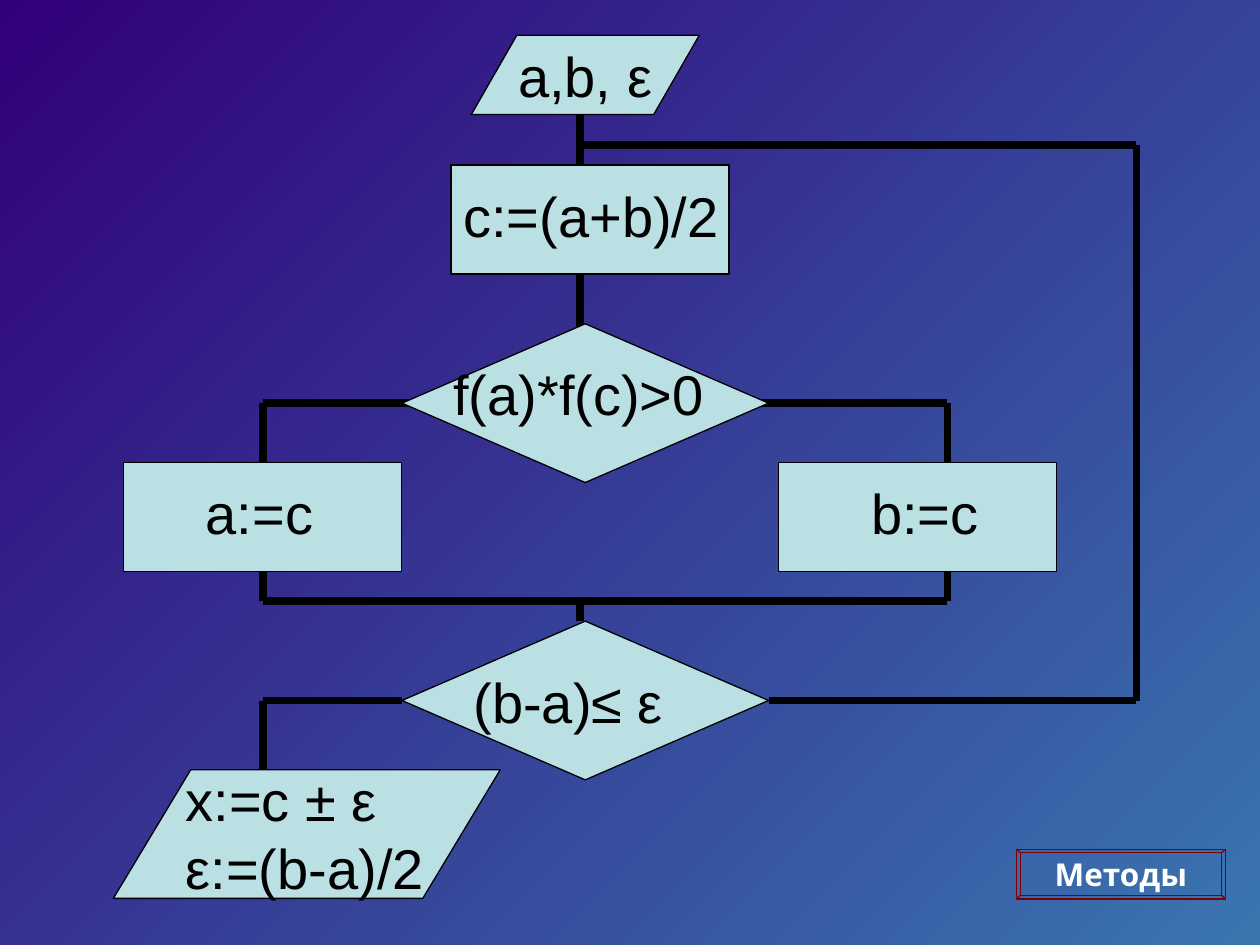
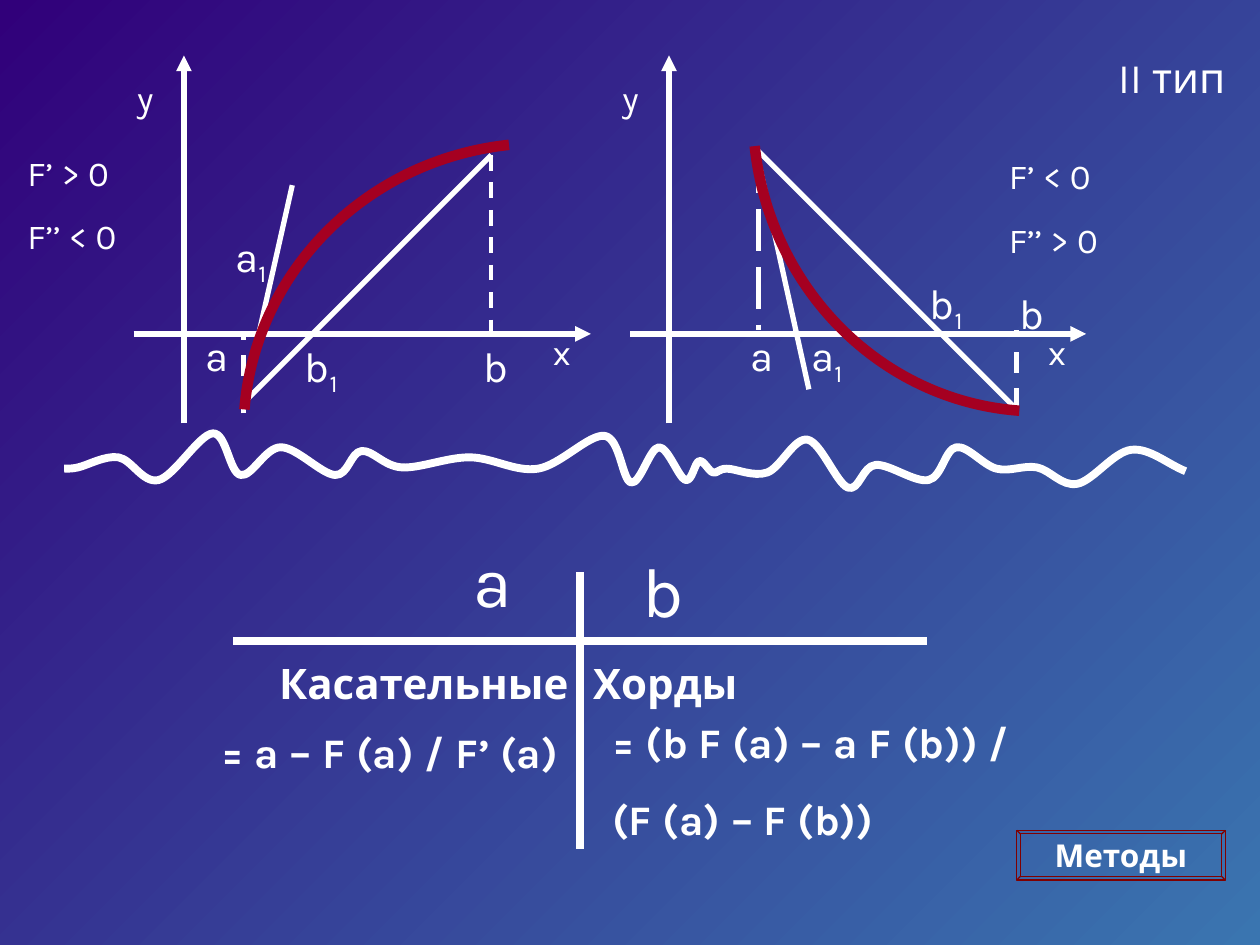
from dataclasses import dataclass
from itertools import pairwise

from lxml.etree import SubElement
from pptx import Presentation
from pptx.dml.color import RGBColor
from pptx.enum.dml import MSO_LINE as DASH
from pptx.enum.shapes import MSO_CONNECTOR, MSO_SHAPE as SHAPE
from pptx.enum.text import MSO_ANCHOR as ANCHOR, MSO_AUTO_SIZE as FIT, PP_ALIGN as ALIGN
from pptx.oxml.ns import qn
from pptx.util import Inches, Pt


@dataclass(frozen=True)
class Theme:
    """Colours, fonts and sizes shared by both slides."""
    cols: int = 100
    rows: int = 75
    bg_start: str = "31007A"
    bg_end: str = "3A75B0"
    block: str = "BBE0E3"
    ink: str = "000000"
    chalk: str = "FFFFFF"
    curve: str = "A50021"
    button: str = "800000"
    flow_font: str = "Arial"
    font: str = "Karla"
    flow_size: int = 32
    head: int = 40
    body: int = 24
    small: int = 20
    button_size: int = 18
    heavy: float = 4.5
    plain: float = 3
    thin: float = 0.75
    bold_curve: float = 6


T = Theme()
MID = 46.06


def cell(n):
    """Turn a number of grid cells into a length."""
    return Inches(n / 10)


def rgb(code):
    """Turn a hex code into a colour."""
    return RGBColor.from_string(code)


def apply(target, formats):
    """Set each attribute named in a dict of format values."""
    for name, value in formats.items():
        setattr(target, name, value)


def stroke(sp, color, width, dash=None):
    """Give a shape or connector its line."""
    sp.line.color.rgb = rgb(color)
    apply(sp.line, {"width": Pt(width), "dash_style": dash})


def write(sp, lines, size, font=T.font, color=T.chalk, bold=False,
          align=ALIGN.LEFT, lead=0.625, **frame):
    """Fill a text frame; an underscore starts a subscript."""
    tf = sp.text_frame
    apply(tf, frame)
    for i, line in enumerate(lines):
        p = tf.add_paragraph() if i else tf.paragraphs[0]
        apply(p, {"alignment": align, "space_before": Pt(size * lead)})
        for j, part in enumerate(line.split("_")):
            r = p.add_run()
            r.text = part
            apply(r.font, {"size": Pt(size), "name": font, "bold": bold})
            r.font.color.rgb = rgb(color)
            if j:
                r._r.get_or_add_rPr().set("baseline", "-25000")


def label(shapes, box, *lines, size=T.body, wrap=True, **fmt):
    """Add a text box on the grid."""
    sp = shapes.add_textbox(*map(cell, box))
    write(sp, lines, size, word_wrap=wrap, auto_size=FIT.SHAPE_TO_FIT_TEXT, **fmt)


def line(shapes, start, end, color=T.chalk, width=T.plain, dash=None, arrow=False):
    """Add a straight line, with an arrowhead if asked."""
    sp = shapes.add_connector(MSO_CONNECTOR.STRAIGHT, *map(cell, (*start, *end)))
    stroke(sp, color, width, dash)
    if arrow:
        SubElement(sp.line._get_or_add_ln(), qn("a:tailEnd"), type="triangle")
    SubElement(sp._element.spPr, qn("a:effectLst"))


def route(shapes, *points, color=T.ink):
    """Join grid points with heavy straight lines."""
    for start, end in pairwise(points):
        line(shapes, start, end, color, T.heavy)


def block(shapes, kind, box):
    """Add a flowchart block."""
    sp = shapes.add_shape(kind, *map(cell, box))
    sp.shadow.inherit = False
    sp.fill.solid()
    sp.fill.fore_color.rgb = rgb(T.block)
    stroke(sp, T.ink, T.thin)
    return sp


def spline(knots):
    """List a start, then two handles and a knot for each smooth piece."""
    def mirror(end, near):
        return tuple(2 * e - n for e, n in zip(end, near))

    def handle(knot, before, after):
        return tuple(k + (a - b) / 6 for k, b, a in zip(knot, before, after))

    ks = [mirror(knots[0], knots[1]), *knots, mirror(knots[-1], knots[-2])]
    points = [knots[0]]
    for p, a, b, n in zip(ks, ks[1:], ks[2:], ks[3:]):
        points += [handle(a, p, b), handle(b, n, a), b]
    return points


def curve(shapes, points, color, width):
    """Draw an open outline of cubic pieces, three points to a piece."""
    (x, y), *rest = [tuple(map(cell, point)) for point in points]
    builder = shapes.build_freeform(x, y)
    builder.add_line_segments(rest, close=False)
    sp = builder.convert_to_shape()
    outline = next(sp._element.iter(qn("a:path")))
    segments = outline.findall(qn("a:lnTo"))
    for i in range(0, len(segments), 3):
        piece = SubElement(outline, qn("a:cubicBezTo"))
        for segment in segments[i:i + 3]:
            piece.append(segment[0])
            outline.remove(segment)
    sp.shadow.inherit = False
    sp.fill.background()
    stroke(sp, color, width)


def methods_button(shapes, top):
    """Add the bevelled button."""
    sp = shapes.add_shape(SHAPE.BEVEL, *map(cell, (80.7, top, 16.55, 3.94)))
    sp.adjustments[0] = 0.07
    sp.shadow.inherit = False
    sp.fill.background()
    stroke(sp, T.button, T.thin)
    write(sp, ["Методы"], T.button_size, bold=True, align=ALIGN.CENTER, lead=0,
          word_wrap=False, vertical_anchor=ANCHOR.MIDDLE)


def axes(shapes, left, right, origin):
    """Add the x and y axes with their names."""
    line(shapes, (origin, 33.6), (origin, 4.4), arrow=True)
    line(shapes, (left, 26.5), (right, 26.5), arrow=True)
    for name, x, y in (("y", origin - 4.7, 5.6), ("x", right - 4, 25.7)):
        label(shapes, (x, y, 3.1, 4.4), name, size=T.small)


def graph(slide, axis, lines, arc, signs, signs_at, names):
    """Add a group with one graph of the function."""
    shapes = slide.shapes.add_group_shape().shapes
    for start, end, width, dash in lines:
        line(shapes, start, end, width=width, dash=dash)
    axes(shapes, *axis)
    curve(shapes, arc, T.curve, T.bold_curve)
    label(shapes, (*signs_at, 11, 9.4), *signs, size=T.small)
    for name, x, y, height in names:
        label(shapes, (x, y, 4.7, height), name)


def flowchart(slide):
    """Build the bisection flowchart."""
    shapes = slide.shapes
    left, right, back = 20.9, 75.2, 90.2
    test, join, check = 32, 47.7, 55.6
    route(shapes, (MID, 9.1), (MID, 37.5))
    route(shapes, (MID, 49.3), (MID, join))
    route(shapes, (left, test), (right, test), (right, join), (left, join), (left, test))
    route(shapes, (31.9, check), (left, check), (left, 61.1))
    route(shapes, (61, check), (back, check), (back, 11.5), (MID, 11.5))

    start = block(shapes, SHAPE.FLOWCHART_DATA, (37.4, 2.8, 18.1, 6.3))
    block(shapes, SHAPE.FLOWCHART_DATA, (9, 61.1, 30.7, 10.2))
    for x, y in ((35.8, 13.1), (9.8, 36.7), (61.8, 36.7)):
        block(shapes, SHAPE.FLOWCHART_PROCESS, (x, y, 22.05, 8.66))
    for y in (25.7, 49.3):
        block(shapes, SHAPE.FLOWCHART_DECISION, (31.9, y, 29.1, 12.6))

    fmt = {"size": T.flow_size, "font": T.flow_font, "color": T.ink, "lead": 0}
    write(start, ["a,b, ε"], align=ALIGN.CENTER, word_wrap=False,
          vertical_anchor=ANCHOR.MIDDLE, **fmt)
    for box, *texts in (
            ((35.8, 13.9, 22.3, 6.4), "c:=(a+b)/2"),
            ((35, 28.05, 21.95, 6.4), "f(a)*f(c)>0"),
            ((15.35, 37.5, 10.5, 6.4), "a:=c"),
            ((68.15, 37.5, 10.5, 6.4), "b:=c"),
            ((13.75, 60.3, 20.9, 11.7), "x:=c ± ε", "ε:=(b-a)/2")):
        label(shapes, box, *texts, wrap=False, **fmt)
    label(shapes, (36.6, 52.5, 18.1, 6.4), "(b-a)≤ ε", **fmt)
    methods_button(shapes, 67.4)


def second_type(slide):
    """Build the graphs and formulas of the second type."""
    shapes = slide.shapes
    label(shapes, (87.8, 3.6, 11, 5), "II тип")
    wave = [(94.1, 37.4), (89.8, 35.7), (85.5, 38.4), (82.3, 37.1), (79.1, 37.2),
            (75.9, 35.5), (73.7, 38.1), (69.5, 36.9), (67.3, 38.7), (64.1, 34.9),
            (60.9, 37.5), (57.7, 37.2), (56.6, 37.5), (55.5, 36.6), (54.4, 38.1),
            (52.3, 35.5), (50.1, 38.3), (48, 34.6), (42.7, 37.2), (37.3, 36.3),
            (31.9, 37.1), (28.7, 35.8), (26.6, 37.7), (22.3, 35.5), (19.1, 37.7),
            (16.9, 34.4), (12.6, 38.1), (9.4, 36.3), (6.2, 37.1), (5.1, 37.2)]
    curve(shapes, spline(wave), T.chalk, T.heavy)

    graph(slide, (10.6, 46.9, 14.6),
          [((19.3, 32.8), (19.3, 26.5), T.plain, DASH.DASH),
           ((19.3, 32), (23.2, 14.7), T.plain, None),
           ((39, 12.3), (19.3, 32), T.plain, None),
           ((39, 12.3), (39, 26.5), 2.25, DASH.DASH)],
          [(19.4, 32.5), (20.3, 21.5), (29.1, 12.7), (40.4, 11.5)],
          ("F’ > 0", "F’’ < 0"), (1.2, 11.5),
          [("a_1", 17.7, 17.8, 9.6), ("a", 15.3, 25.7, 5),
           ("b_1", 23.2, 26.5, 9.6), ("b", 37.4, 26.5, 5)])
    graph(slide, (50, 86.2, 53.1),
          [((80.7, 32.5), (80.7, 26.2), T.plain, DASH.DASH),
           ((60.2, 12), (80.7, 32.5), T.plain, None),
           ((60.2, 12.8), (64.2, 30.9), T.plain, None),
           ((60.2, 12), (60.2, 26.2), T.plain, DASH.LONG_DASH)],
          [(80.9, 32.6), (69.9, 31.8), (61.1, 22.9), (59.9, 11.6)],
          ("F’ < 0", "F’’ > 0"), (79.1, 11.8),
          [("a_1", 63.4, 25.7, 9.6), ("a", 58.6, 25.7, 5),
           ("b_1", 72.8, 21.5, 9.6), ("b", 79.9, 22.3, 5)])

    for tip in ((MID, 45.4), (MID, 67.4), (73.6, 50.9), (18.5, 50.9)):
        route(shapes, (MID, 50.9), tip, color=T.chalk)
    label(shapes, (36.6, 42.2, 7.9, 7.7), "a", size=T.head)
    label(shapes, (50, 43, 7.9, 7.7), "b", size=T.head)
    for box, align, *texts in (
            ((20.9, 51.7, 25.2, 5), ALIGN.RIGHT, "Касательные"),
            ((46.1, 51.7, 23.6, 5), ALIGN.LEFT, "Хорды"),
            ((9.8, 57.2, 35.5, 5), ALIGN.RIGHT, "= a – F (a) / F’ (a)"),
            ((47.6, 56.4, 35.5, 11.1), ALIGN.LEFT,
             "= (b F (a) – a F (b)) /", "(F (a) – F (b))")):
        label(shapes, box, *texts, align=align, bold=True)
    methods_button(shapes, 65.9)


def paint_background(master):
    """Give every slide the diagonal gradient."""
    fill = master.background.fill
    fill.gradient()
    fill.gradient_angle = 315
    for stop, color, place in zip(fill.gradient_stops, (T.bg_start, T.bg_end), (0, 1)):
        stop.color.rgb = rgb(color)
        stop.position = place


def main():
    """Build and save both slides."""
    prs = Presentation()
    apply(prs, {"slide_width": cell(T.cols), "slide_height": cell(T.rows)})
    paint_background(prs.slide_master)
    for build in (flowchart, second_type):
        build(prs.slides.add_slide(prs.slide_layouts[6]))
    prs.save("out.pptx")


if __name__ == "__main__":
    main()
